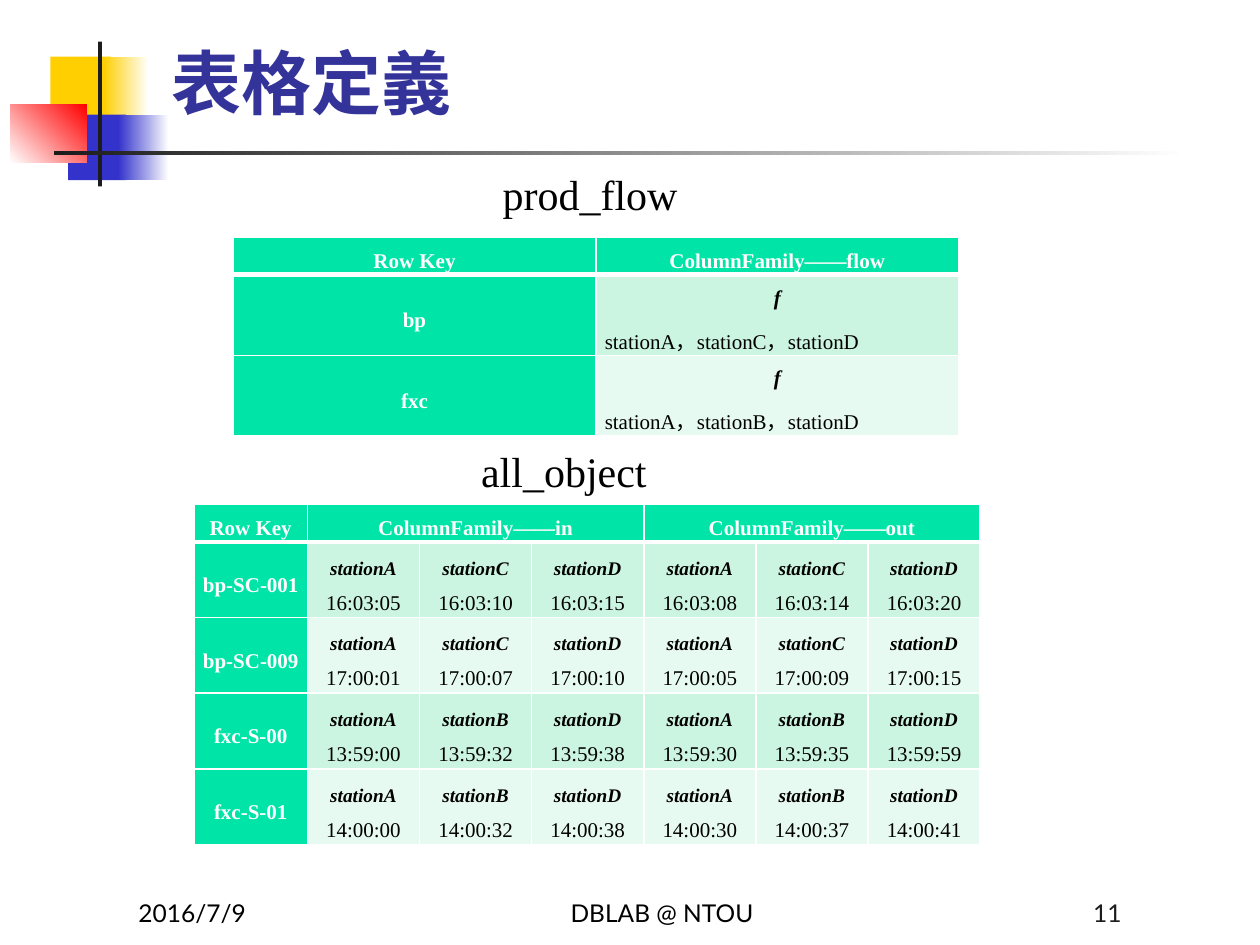
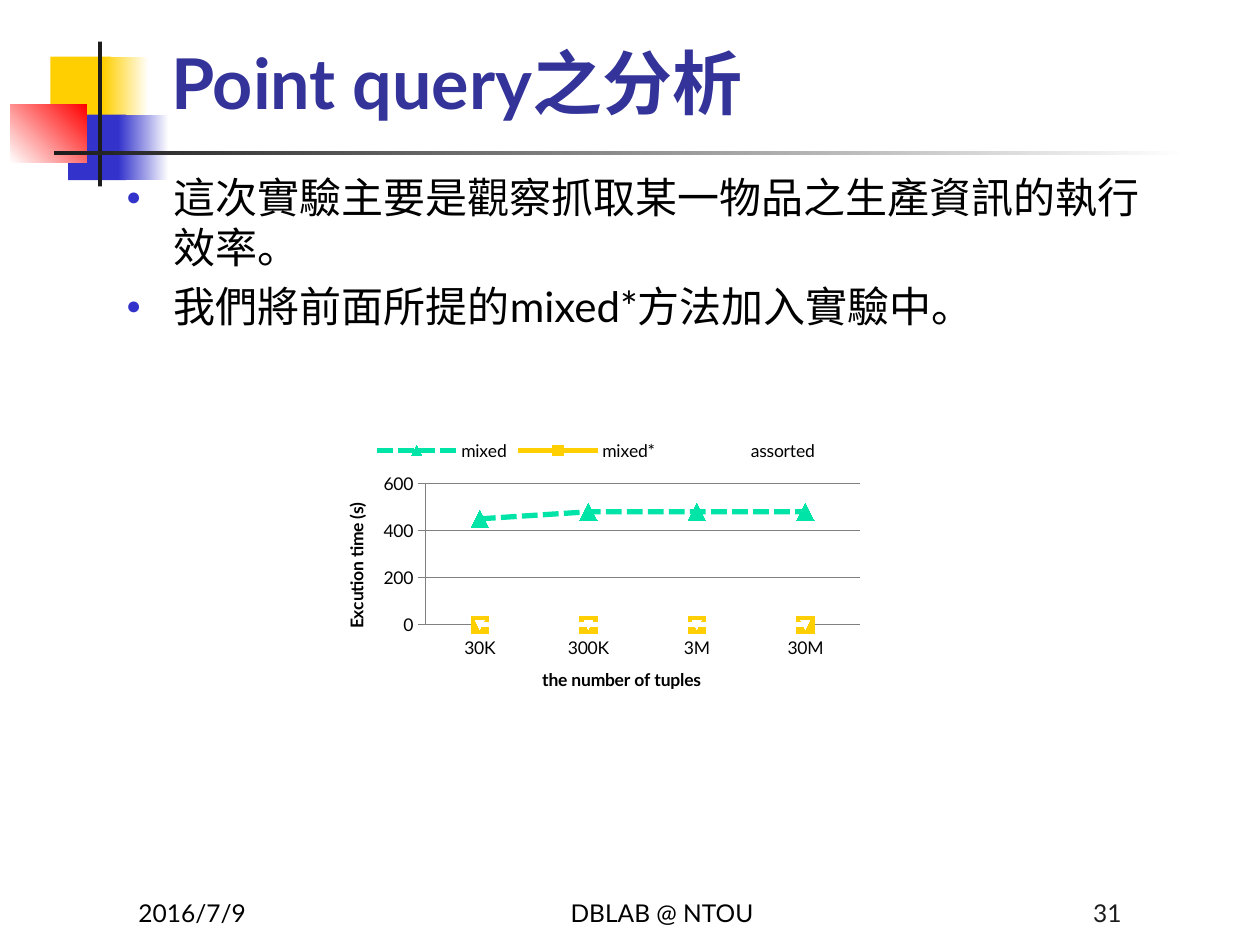
from dataclasses import dataclass

from lxml import etree
from pptx import Presentation
from pptx import util as u
from pptx.chart.data import CategoryChartData
from pptx.dml.color import RGBColor
from pptx.enum import chart as ch, dml, shapes, text
from pptx.oxml.ns import qn

Inches, Pt = u.Inches, u.Pt
ALIGN, ANCHOR = text.PP_ALIGN, text.MSO_ANCHOR


@dataclass(frozen=True)
class Theme:
    sans: str = "Lato"
    serif: str = "Times New Roman"
    title: str = "333399"
    ink: str = "000000"
    dark: str = "1C1C1C"
    white: str = "FFFFFF"
    yellow: str = "FFCF01"
    blue: str = "3333CC"
    red: str = "FF0000"
    green: str = "00E4A8"
    bands: tuple = ("CCF5E1", "E7FAF1")
    grid: str = "808080"
    title_pt: int = 40
    body_pt: int = 24
    footer_pt: int = 14
    cell_pt: int = 12
    station_pt: int = 11
    chart_pt: int = 10


T = Theme()

# ---- Content ----
DATE, LAB = "2016/7/9", "DBLAB @ NTOU"

FLOW_HEADS = ["Row Key", "ColumnFamily——flow"]
FLOWS = [("bp", "stationA，stationC，stationD"), ("fxc", "stationA，stationB，stationD")]

OBJECT_HEADS = ["Row Key", "ColumnFamily——in", "ColumnFamily——out"]
OBJECTS = [  # key, stations, times in, times out
    ("bp-SC-001", "ACD", ["16:03:05", "16:03:10", "16:03:15"], ["16:03:08", "16:03:14", "16:03:20"]),
    ("bp-SC-009", "ACD", ["17:00:01", "17:00:07", "17:00:10"], ["17:00:05", "17:00:09", "17:00:15"]),
    ("fxc-S-00", "ABD", ["13:59:00", "13:59:32", "13:59:38"], ["13:59:30", "13:59:35", "13:59:59"]),
    ("fxc-S-01", "ABD", ["14:00:00", "14:00:32", "14:00:38"], ["14:00:30", "14:00:37", "14:00:41"]),
]

ANALYSIS = ["這次實驗主要是觀察抓取某一物品之生產資訊的執行效率。",
            "我們將前面所提的mixed*方法加入實驗中。"]
TUPLES = ["30K", "300K", "3M", "30M"]
TIMES = [  # name, seconds, colour, marker, marker size
    ("mixed", [450, 480, 480, 480], T.green, ch.XL_MARKER_STYLE.TRIANGLE, 10),
    ("mixed*", [0, 0, 0, 0], T.yellow, ch.XL_MARKER_STYLE.SQUARE, 10),
    ("assorted", [0, 0, 0, 0], T.white, ch.XL_MARKER_STYLE.AUTOMATIC, 5),
]

# Emblem: left, top, width, height, colours, gradient angle
EMBLEM = [
    (0.4, 0.45, 0.48, 0.52, [T.yellow], 0),
    (0.82, 0.45, 0.36, 0.52, [T.yellow, T.white], 0),
    (0.54, 0.91, 0.46, 0.52, [T.blue], 0),
    (0.94, 0.91, 0.4, 0.52, [T.blue, T.white], 0),
    (0.08, 0.83, 0.61, 0.46, [T.white, T.red], 45),
    (0.78, 0.33, 0.03, 1.15, [T.dark], 0),
    (0.43, 1.2, 9, 0.03, [T.dark, T.white], 0),
]


# ---- Shared helpers ----
def rgb(colour):
    return RGBColor.from_string(colour)


def box(*lengths):
    return [Inches(n) for n in lengths]


def place(part, *lengths):
    part.left, part.top, part.width, part.height = box(*lengths)


def style(font, size, colour=T.ink, face=T.sans, bold=False, italic=False):
    font.size, font.name, font.bold, font.italic = Pt(size), face, bold, italic
    font.color.rgb = rgb(colour)


def add_run(paragraph, words, size, **look):
    run = paragraph.add_run()
    run.text = words
    style(run.font, size, **look)


def add_xml(parent, tag, **attributes):
    return etree.SubElement(parent, qn(tag), attributes)


def caption(slide, at, words, size, align=ALIGN.LEFT, anchor=ANCHOR.TOP, wrap=True, **look):
    frame = slide.shapes.add_textbox(*box(*at)).text_frame
    frame.word_wrap, frame.vertical_anchor = wrap, anchor
    frame.paragraphs[0].alignment = align
    add_run(frame.paragraphs[0], words, size, **look)


def move_emblem_to_master(deck, slide):
    tree = deck.slide_master.element.cSld.spTree
    for depth, (*at, colours, angle) in enumerate(EMBLEM, start=2):
        block = slide.shapes.add_shape(shapes.MSO_SHAPE.RECTANGLE, *box(*at))
        block.shadow.inherit = False
        block.line.fill.background()
        if len(colours) == 1:
            block.fill.solid()
            block.fill.fore_color.rgb = rgb(colours[0])
        else:
            block.fill.gradient()
            block.fill.gradient_angle = angle
            for stop, colour in zip(block.fill.gradient_stops, colours):
                stop.color.rgb = rgb(colour)
        tree.insert(depth, block.element)


def start_slide(deck, layout, heading, number):
    slide = deck.slides.add_slide(deck.slide_layouts[layout])
    title = slide.shapes.title
    place(title, 1.26, 0.17, 8.52, 0.86)
    title.text_frame.vertical_anchor = ANCHOR.BOTTOM
    paragraph = title.text_frame.paragraphs[0]
    paragraph.alignment = ALIGN.LEFT
    add_run(paragraph, heading, T.title_pt, colour=T.title, bold=True)
    for left, width, words, align, colour in [
            (1, 2.08, DATE, ALIGN.LEFT, T.ink),
            (3.67, 3.17, LAB, ALIGN.CENTER, T.ink),
            (6.92, 2.08, str(number), ALIGN.RIGHT, T.dark)]:
        caption(slide, (left, 6.91, width, 0.5), words, T.footer_pt, align,
                ANCHOR.BOTTOM, colour=colour)
    return slide


# ---- Tables ----
def fill_cell(cell, colour, paragraphs, bottom=1):
    """Each paragraph is (alignment, [(words, size, look), ...])."""
    cell.margin_left = cell.margin_right = Inches(0.07)
    cell.margin_top = cell.margin_bottom = 0
    cell.vertical_anchor = ANCHOR.MIDDLE
    properties = cell._tc.get_or_add_tcPr()
    for side in "LRTB":
        width = Pt(bottom if side == "B" else 1)
        edge = add_xml(properties, f"a:ln{side}", w=str(width))
        add_xml(add_xml(edge, "a:solidFill"), "a:srgbClr", val=T.white)
    cell.fill.solid()
    cell.fill.fore_color.rgb = rgb(colour)
    for index, (align, runs) in enumerate(paragraphs):
        frame = cell.text_frame
        paragraph = frame.add_paragraph() if index else frame.paragraphs[0]
        paragraph.alignment, paragraph.line_spacing = align, 1.5
        for words, size, look in runs:
            add_run(paragraph, words, size, face=T.serif, **look)


def label_cell(cell, words, bottom=1):
    look = dict(colour=T.white, bold=True)
    fill_cell(cell, T.green, [(ALIGN.CENTER, [(words, T.cell_pt, look)])], bottom)


def make_table(slide, left, top, widths, heights):
    frame = slide.shapes.add_table(len(heights), len(widths),
                                   *box(left, top, sum(widths), sum(heights)))
    for column, width in zip(frame.table.columns, widths):
        column.width = Inches(width)
    for row, height in zip(frame.table.rows, heights):
        row.height = Inches(height)
    return frame.table


def add_flow_table(slide):
    flow = make_table(slide, 1.85, 1.88, [2.88] * 2, [0.27] + [0.64] * 2)
    for column, head in enumerate(FLOW_HEADS):
        label_cell(flow.cell(0, column), head, bottom=3)
    for row, ((key, route), band) in enumerate(zip(FLOWS, T.bands), start=1):
        label_cell(flow.cell(row, 0), key)
        fill_cell(flow.cell(row, 1), band, [
            (ALIGN.CENTER, [("f", T.cell_pt, dict(bold=True, italic=True))]),
            (ALIGN.JUSTIFY, [(route, T.cell_pt, {})])])


def add_object_table(slide):
    objects = make_table(slide, 1.54, 4, [0.9] + [0.89] * 6, [0.29] + [0.6] * 4)
    for column in (1, 4):
        objects.cell(0, column).merge(objects.cell(0, column + 2))
    for column, head in zip((0, 1, 4), OBJECT_HEADS):
        label_cell(objects.cell(0, column), head, bottom=3)
    for row, (key, stations, times_in, times_out) in enumerate(OBJECTS, start=1):
        label_cell(objects.cell(row, 0), key)
        for column, (station, time) in enumerate(zip(stations * 2, times_in + times_out), start=1):
            fill_cell(objects.cell(row, column), T.bands[(row - 1) % 2], [(ALIGN.CENTER, [
                (f"station{station}", T.station_pt, dict(bold=True, italic=True)),
                (f" {time}", T.cell_pt, {})])])


# ---- Bullets and chart ----
def add_bullets(slide, lines):
    body = slide.placeholders[1]
    place(body, 0.9, 1.31, 8.54, 5.42)
    for index, line in enumerate(lines):
        frame = body.text_frame
        paragraph = frame.add_paragraph() if index else frame.paragraphs[0]
        paragraph.space_before = Pt(0.2 * T.body_pt)
        add_run(paragraph, line, T.body_pt)
        indent = paragraph._p.get_or_add_pPr()
        indent.set("marL", str(Inches(0.38)))
        indent.set("indent", str(-Inches(0.38)))
        add_xml(add_xml(indent, "a:buClr"), "a:srgbClr", val=T.blue)
        add_xml(indent, "a:buSzPct", val="60000")
        add_xml(indent, "a:buChar", char="●")


def title_axis(axis, words):
    axis.has_title = True
    add_run(axis.axis_title.text_frame.paragraphs[0], words, T.chart_pt, bold=True)
    axis.format.line.color.rgb = rgb(T.grid)


def add_time_chart(slide):
    data = CategoryChartData()
    data.categories = TUPLES
    for name, seconds, *_ in TIMES:
        data.add_series(name, seconds)
    chart = slide.shapes.add_chart(ch.XL_CHART_TYPE.LINE_MARKERS,
                                   *box(2.55, 3.38, 4.36, 2.29), data).chart
    style(chart.font, T.chart_pt)
    chart.has_title = False
    chart.has_legend = True
    chart.legend.position = ch.XL_LEGEND_POSITION.TOP
    chart.legend.include_in_layout = False

    tuples, seconds = chart.category_axis, chart.value_axis
    title_axis(tuples, "the number of tuples")
    tuples.major_tick_mark = ch.XL_TICK_MARK.NONE
    tuples.tick_label_position = ch.XL_TICK_LABEL_POSITION.LOW
    title_axis(seconds, "Excution time (s)")
    seconds.minimum_scale, seconds.maximum_scale, seconds.major_unit = 0, 600, 200
    seconds.major_tick_mark = ch.XL_TICK_MARK.OUTSIDE
    seconds.major_gridlines.format.line.color.rgb = rgb(T.grid)

    plot = chart.plots[0]
    plot.vary_by_categories = False
    for series, (name, _, colour, marker, size) in zip(plot.series, TIMES):
        series.smooth = False
        series.format.line.width = Pt(3)
        series.format.line.color.rgb = rgb(colour)
        if name == "mixed":
            series.format.line.dash_style = dml.MSO_LINE.SQUARE_DOT
        series.marker.style, series.marker.size = marker, size
        series.marker.format.fill.solid()
        series.marker.format.fill.fore_color.rgb = rgb(colour)
        series.marker.format.line.fill.background()

    # Inner plot area, as shares of the chart
    area = chart._chartSpace.chart.plotArea
    for old in area.findall(qn("c:layout")):
        area.remove(old)
    layout = etree.Element(qn("c:layout"))
    area.insert(0, layout)
    manual = add_xml(layout, "c:manualLayout")
    for tag, value in [("layoutTarget", "inner"), ("xMode", "edge"), ("yMode", "edge"),
                       ("x", "0.19"), ("y", "0.2"), ("w", "0.79"), ("h", "0.49")]:
        add_xml(manual, f"c:{tag}", val=value)


# ---- Slides ----
def main():
    deck = Presentation()
    deck.slide_width, deck.slide_height = box(10, 7.5)

    definition = start_slide(deck, 5, "表格定義", 11)
    move_emblem_to_master(deck, definition)
    add_flow_table(definition)
    caption(definition, (3.89, 1.29, 1.6, 0.5), "prod_flow", T.body_pt, wrap=False, face=T.serif)
    add_object_table(definition)
    caption(definition, (3.72, 3.49, 1.53, 0.5), "all_object", T.body_pt, wrap=False, face=T.serif)

    analysis = start_slide(deck, 1, "Point query之分析", 31)
    add_bullets(analysis, ANALYSIS)
    add_time_chart(analysis)

    deck.save("out.pptx")


if __name__ == "__main__":
    main()
